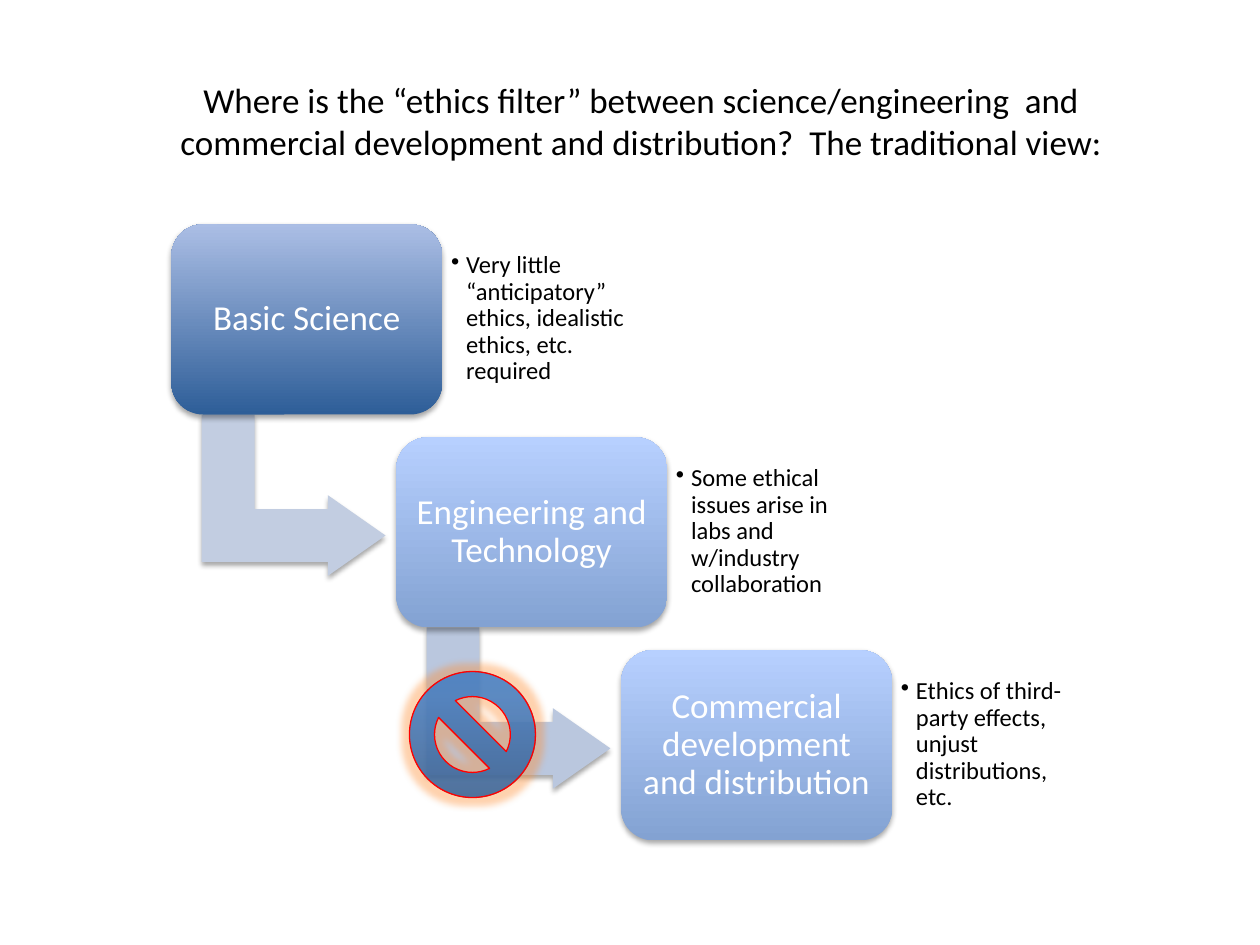
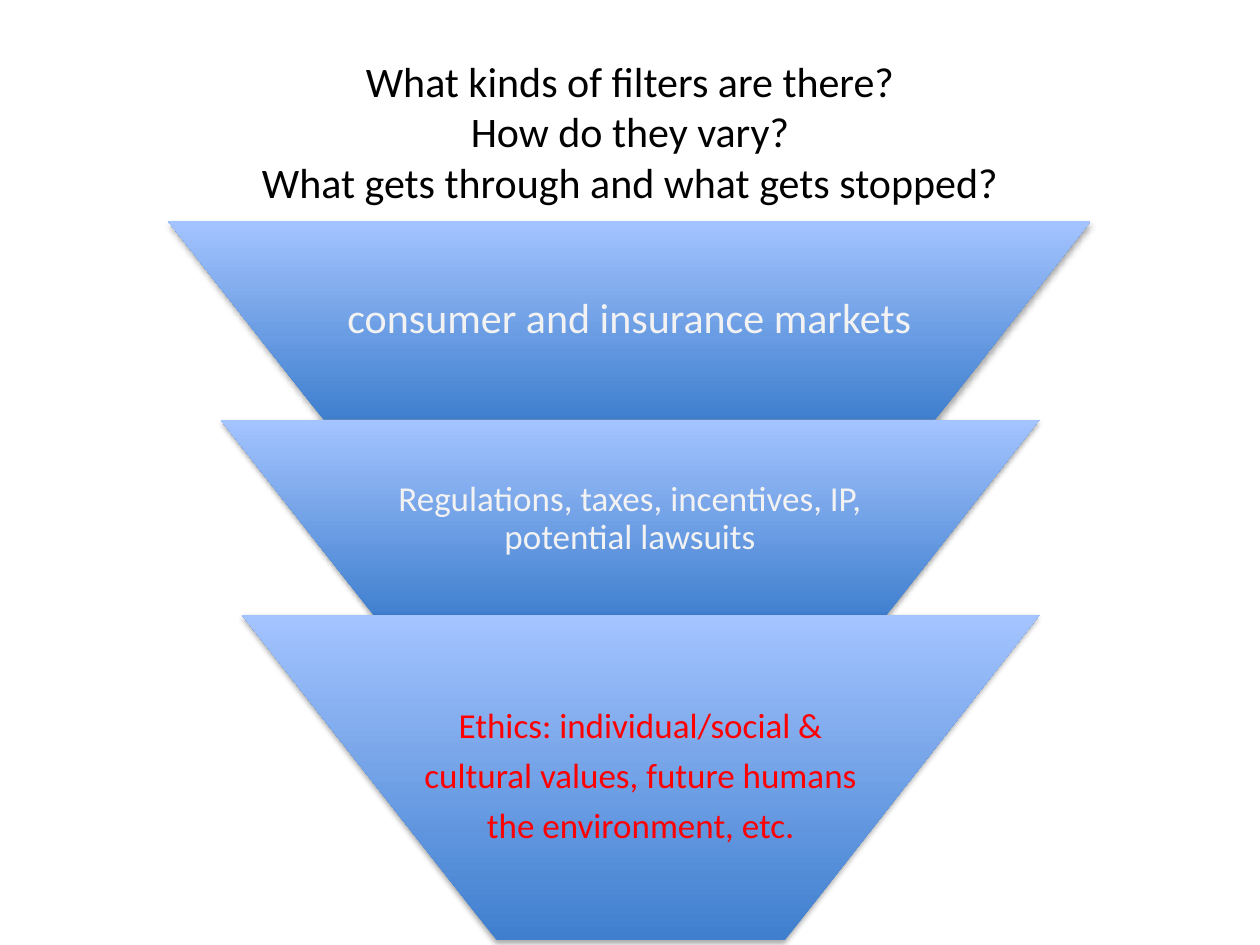
"""Build two slides on ethics filters between science and commerce."""
from lxml import etree
from pptx import Presentation
from pptx.dml.color import RGBColor
from pptx.enum.shapes import MSO_SHAPE
from pptx.enum.text import MSO_ANCHOR, MSO_AUTO_SIZE, PP_ALIGN
from pptx.oxml.ns import qn
from pptx.util import Inches, Pt

CENTER, LEFT = PP_ALIGN.CENTER, PP_ALIGN.LEFT
MIDDLE = MSO_ANCHOR.MIDDLE
NO_FIT = MSO_AUTO_SIZE.NONE
ROUNDED = MSO_SHAPE.ROUNDED_RECTANGLE
BENT_ARROW = MSO_SHAPE.BENT_UP_ARROW
TRAPEZOID = MSO_SHAPE.TRAPEZOID
NO_SYMBOL = MSO_SHAPE.NO_SYMBOL

FONT = "Calibri"
COLORS = {
    "black": "000000", "white": "FFFFFF", "pale": "F2F2F2", "red": "FF0000",
    "glow": "FF8F35", "deep_bottom": "2E5E98", "deep_top": "ABBEE5",
    "step_bottom": "83A2D2", "step_top": "B7D0FF",
    "filter_bottom": "3F7FCE", "filter_top": "A4C4FF",
    "arrow_first": "C2CDE1", "arrow_second": "BAC7DE",
    "stop_bottom": "2F5F99", "stop_middle": "3D7CC7", "stop_top": "3A7CCB",
}

VIEW_TITLE = ("Where is the “ethics filter” between science/engineering  and "
              "commercial development and distribution?  The traditional view:")
STEPS = [
    ("Basic Science",
     "Very little “anticipatory” ethics, idealistic ethics, etc. required",
     ("deep_bottom", "deep_top"), "arrow_first"),
    ("Engineering and Technology",
     "Some ethical issues arise in labs and w/industry collaboration",
     ("step_bottom", "step_top"), "arrow_second"),
    ("Commercial development and distribution",
     "Ethics of third-party effects, unjust distributions, etc.",
     ("step_bottom", "step_top"), None),
]
FILTERS_TITLE = ("What kinds of filters are there?\nHow do they vary?\n"
                 "What gets through and what gets stopped?")
FILTERS = [
    (["consumer and insurance markets"],
     (1.33, 1.75, 7.33, 1.58), 0.65, 24, "pale"),
    (["Regulations, taxes, incentives, IP, potential lawsuits"],
     (1.75, 3.33, 6.5, 1.58), 0.65, 20, "pale"),
    (["Ethics: individual/social &", "cultural values, future humans",
      "the environment, etc."],
     (1.92, 4.88, 6.33, 2.58), 1, 20, "red"),
]

STEP_LEFT, STEP_TOP = 1.36, 1.78
STEP_WIDTH, STEP_HEIGHT = 2.15, 1.51
STEP_RIGHT, STEP_DOWN = 1.785, 1.69


def inches(box):
    return [Inches(value) for value in box]


def write_text(frame, lines, size, color="black", align=CENTER, inset=None,
               spacing=None, after=0, bullet=False):
    frame.word_wrap = True
    frame.auto_size = NO_FIT
    frame.vertical_anchor = MIDDLE
    if inset is not None:
        frame.margin_left = frame.margin_right = Inches(inset)
        frame.margin_top = frame.margin_bottom = Inches(inset)
    for index, line in enumerate(lines):
        paragraph = frame.add_paragraph() if index else frame.paragraphs[0]
        paragraph.text = line
        paragraph.alignment = align
        if spacing:
            paragraph.line_spacing = spacing
            paragraph.space_after = Pt(size * after)
        if bullet:
            properties = paragraph._p.get_or_add_pPr()
            properties.set("marL", str(Inches(0.12)))
            properties.set("indent", str(Inches(-0.12)))
            etree.SubElement(properties, qn("a:buChar"), char="•")
        for line_break in paragraph._p.findall(qn("a:br")):
            etree.SubElement(line_break, qn("a:rPr"), sz=str(size * 100))
        for run in paragraph.runs:
            run.font.name = FONT
            run.font.size = Pt(size)
            run.font.color.rgb = RGBColor.from_string(COLORS[color])


def add_title(slide, text, size, box):
    title = slide.shapes.title
    title.left, title.top, title.width, title.height = inches(box)
    write_text(title.text_frame, [text], size)


def add_text(slide, lines, box, **text_format):
    text_box = slide.shapes.add_textbox(*inches(box))
    write_text(text_box.text_frame, lines, **text_format)


def add_color(parent, name, alpha):
    color = etree.SubElement(parent, qn("a:srgbClr"), val=COLORS[name])
    etree.SubElement(color, qn("a:alpha"), val=str(alpha * 1000))


def fill_gradient(shape, stops, alpha=100):
    shape.fill.background()
    properties = shape._element.spPr
    gradient = etree.Element(qn("a:gradFill"), rotWithShape="0")
    stop_list = etree.SubElement(gradient, qn("a:gsLst"))
    for position, name in stops:
        stop = etree.SubElement(stop_list, qn("a:gs"), pos=str(position * 1000))
        add_color(stop, name, alpha)
    etree.SubElement(gradient, qn("a:lin"), ang=str(270 * 60000), scaled="0")
    properties.replace(properties.find(qn("a:noFill")), gradient)


def add_effect(shape, kind, color, alpha, **attributes):
    effects = shape._element.spPr.find(qn("a:effectLst"))
    effect = etree.SubElement(effects, qn(kind), **attributes)
    add_color(effect, color, alpha)


def add_figure(slide, kind, box, adjustments, rotation=0, shadow=True):
    shape = slide.shapes.add_shape(kind, *inches(box))
    for index, value in enumerate(adjustments):
        shape.adjustments[index] = value
    shape.rotation = rotation
    shape.line.fill.background()
    shape.shadow.inherit = False
    if shadow:
        add_effect(shape, "a:outerShdw", "black", 35, blurRad=str(Pt(3.1)),
                   dist=str(Pt(1.8)), dir=str(90 * 60000), rotWithShape="0")
    return shape


def add_step(slide, index, name, note, gradient, arrow_color):
    left = STEP_LEFT + index * STEP_RIGHT
    top = STEP_TOP + index * STEP_DOWN
    if arrow_color:
        arrow = add_figure(slide, BENT_ARROW, (left + 0.33, top + 1.42, 1.28, 1.46),
                           (0.328, 0.25, 0.358), rotation=90)
        arrow.fill.solid()
        arrow.fill.fore_color.rgb = RGBColor.from_string(COLORS[arrow_color])
    step = add_figure(slide, ROUNDED, (left, top, STEP_WIDTH, STEP_HEIGHT), (0.167,))
    fill_gradient(step, zip((0, 100), gradient))
    write_text(step.text_frame, [name], 20, color="white", inset=0.08,
               spacing=0.9, after=0.35)
    add_text(slide, [note], (left + STEP_WIDTH, top + 0.14, 1.57, 1.22), size=14,
             align=LEFT, inset=0.07, spacing=0.9, after=0.15, bullet=True)


def add_stop_sign(slide):
    sign = add_figure(slide, NO_SYMBOL, (3.25, 5.33, 1, 1), (0.199,), shadow=False)
    fill_gradient(sign, [(0, "stop_bottom"), (80, "stop_middle"),
                         (100, "stop_top")], alpha=83)
    sign.line.color.rgb = RGBColor.from_string(COLORS["red"])
    sign.line.width = Pt(0.75)
    add_effect(sign, "a:glow", "glow", 40, rad=str(Pt(8)))


def add_filter(slide, lines, box, text_share, size, color):
    left, top, width, height = box
    funnel = add_figure(slide, TRAPEZOID, box, (0.783,), rotation=180)
    fill_gradient(funnel, [(0, "filter_bottom"), (100, "filter_top")])
    text_width = width * text_share
    add_text(slide, lines, (left + (width - text_width) / 2, top, text_width, height),
             size=size, color=color, inset=0.03, spacing=0.9, after=0.35)


def main():
    presentation = Presentation()
    presentation.slide_width, presentation.slide_height = Inches(10), Inches(7.5)
    title_only = presentation.slide_layouts[5]

    view_slide = presentation.slides.add_slide(title_only)
    add_title(view_slide, VIEW_TITLE, 20, (0.85, 0.42, 8.48, 1.08))
    for index, step in enumerate(STEPS):
        add_step(view_slide, index, *step)
    add_stop_sign(view_slide)

    filters_slide = presentation.slides.add_slide(title_only)
    add_title(filters_slide, FILTERS_TITLE, 24, (0.5, 0.5, 9, 1.08))
    for level in FILTERS:
        add_filter(filters_slide, *level)

    presentation.save("out.pptx")


if __name__ == "__main__":
    main()
